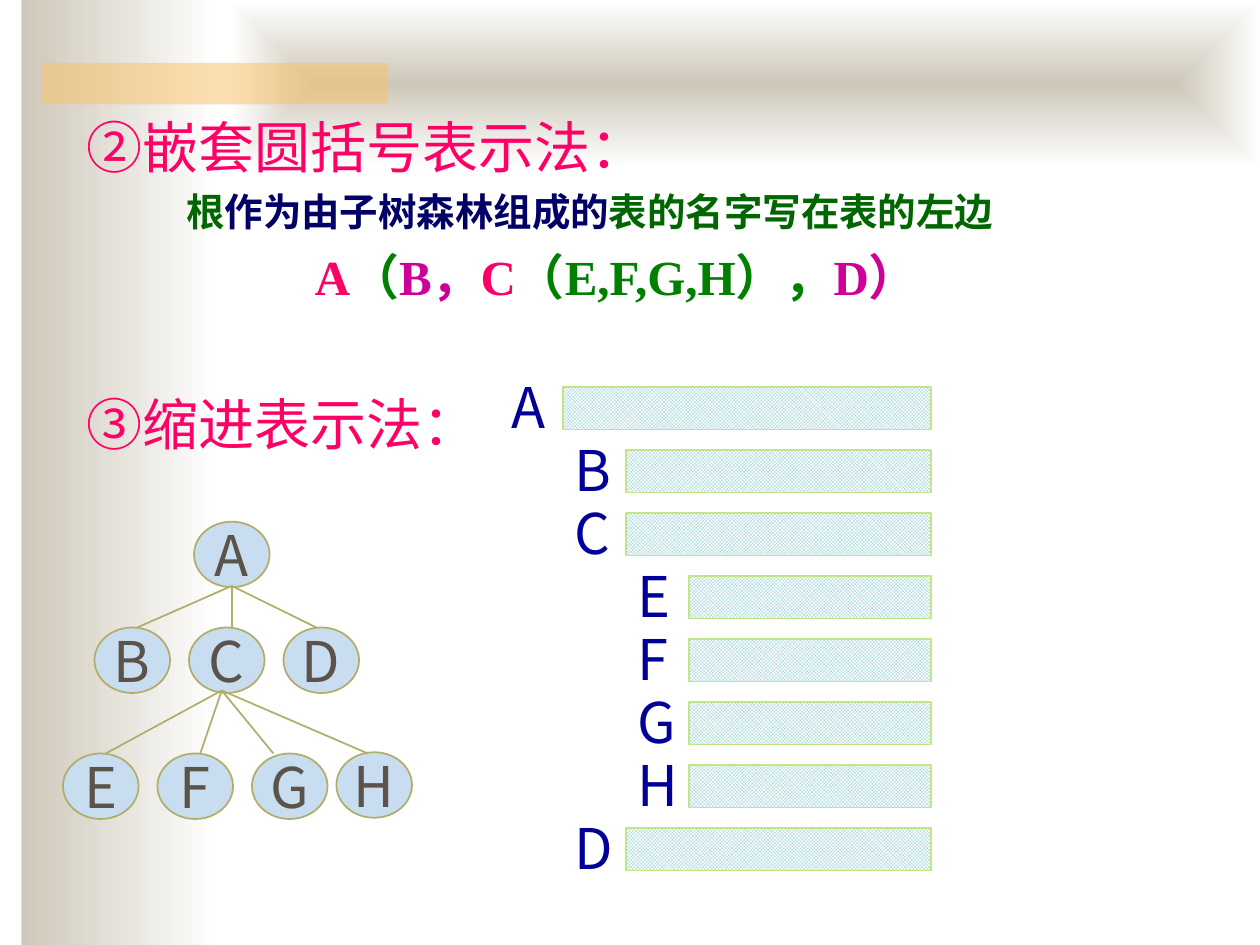
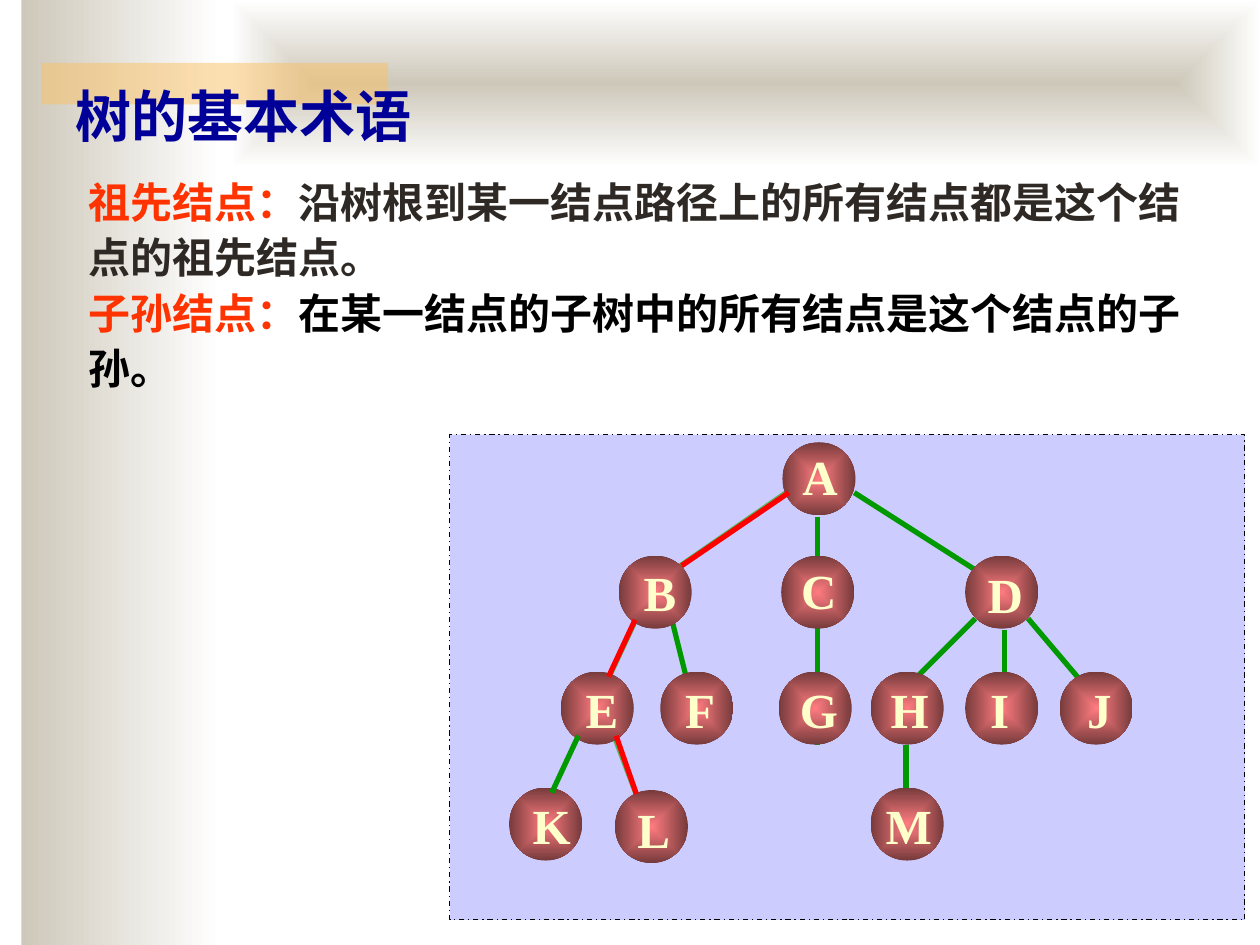
"""Build two slides on tree notations and basic tree terms."""
from dataclasses import dataclass

from lxml.etree import SubElement
from pptx import Presentation
from pptx.dml.color import RGBColor
from pptx.enum.dml import MSO_LINE, MSO_PATTERN
from pptx.enum.shapes import MSO_CONNECTOR, MSO_SHAPE as SHAPE
from pptx.enum.text import MSO_ANCHOR as ANCHOR, PP_ALIGN as ALIGN
from pptx.oxml.ns import qn
from pptx.util import Inches, Pt


@dataclass(frozen=True)
class Theme:
    sand: str = "CEC8BA"
    white: str = "FFFFFF"
    amber: str = "FAC164"
    pink: str = "FF0066"
    purple: str = "CC0099"
    green: str = "008000"
    dark_green: str = "006600"
    dark_navy: str = "000066"
    navy: str = "000099"
    node: str = "C9DDF1"
    olive: str = "B0AE6A"
    brown: str = "5B5249"
    teal: str = "82C7CC"
    lime: str = "C3E684"
    orange: str = "FF3300"
    ink: str = "2E2924"
    black: str = "000000"
    lavender: str = "CCCCFF"
    ball: str = "FF7C80"
    ball_edge: str = "763A3B"
    cream: str = "FFFFCC"
    edge: str = "009900"
    pale_edge: str = "55B75A"
    red: str = "FF0000"
    sans: str = "Noto Sans CJK SC"
    serif: str = "Times New Roman"
    lato: str = "Lato"
    big: int = 32
    label: int = 28
    body: int = 24
    note: int = 22


T = Theme()
rgb = RGBColor.from_string


def add_item(s, at, kind=None, fill=None, radial=False, line=None, paras=(), font=T.sans,
             size=T.big, bold=False, pad=(0.1, 0.05), wrap=True, anchor=ANCHOR.TOP,
             align=ALIGN.LEFT, spacing=None):
    """Add a text box, or a preset shape when kind is given, with coloured runs."""
    box = [Inches(v) for v in at]
    sp = s.shapes.add_textbox(*box) if kind is None else s.shapes.add_shape(kind, *box)
    if kind is not None:
        sp.shadow.inherit = False
        if isinstance(fill, tuple):
            sp.fill.gradient()
            for stop, color in zip(sp.fill.gradient_stops, fill):
                stop.color.rgb = rgb(color)
            sp.fill.gradient_angle = 0
            if radial:
                grad = sp._element.spPr.find(qn("a:gradFill"))
                grad.remove(grad.find(qn("a:lin")))
                path = SubElement(grad, qn("a:path"), path="shape")
                SubElement(path, qn("a:fillToRect"), l="50000", t="50000", r="50000", b="50000")
        elif fill:
            sp.fill.solid()
            sp.fill.fore_color.rgb = rgb(fill)
        if line:
            sp.line.color.rgb = rgb(line)
            sp.line.width = Pt(1)
        else:
            sp.line.fill.background()
    tf = sp.text_frame
    tf.word_wrap, tf.vertical_anchor = wrap, anchor
    tf.margin_left = tf.margin_right = Inches(pad[0])
    tf.margin_top = tf.margin_bottom = Inches(pad[1])
    for i, runs in enumerate(paras):
        p = tf.add_paragraph() if i else tf.paragraphs[0]
        p.alignment, p.line_spacing = align, spacing
        p.font.name, p.font.size, p.font.bold = font, Pt(size), bold
        SubElement(p._p.pPr.find(qn("a:defRPr")), qn("a:ea"), typeface=T.sans)
        for text, color in runs:
            r = p.add_run()
            r.text = text
            r.font.color.rgb = rgb(color)
    return sp


def add_edge(s, start, end, color, width):
    """Add a straight tree edge."""
    c = s.shapes.add_connector(MSO_CONNECTOR.STRAIGHT, *[Inches(v) for v in (*start, *end)])
    c.line.color.rgb = rgb(color)
    c.line.width = Pt(width)
    SubElement(c._element.spPr, qn("a:effectLst"))


prs = Presentation()
prs.slide_width, prs.slide_height = Inches(10), Inches(7.5)
blank = prs.slide_layouts[6]

s = prs.slides.add_slide(blank)
side = add_item(s, (0.17, 0, 1.58, 7.5), SHAPE.RECTANGLE, (T.sand, T.white))
top = add_item(s, (1.83, 0, 8.17, 1.33), SHAPE.RECTANGLE, (T.sand, T.white), radial=True)
accent = add_item(s, (0.33, 0.5, 2.75, 0.33), SHAPE.RECTANGLE, T.amber)
clr = accent._element.spPr.find(qn("a:solidFill")).find(qn("a:srgbClr"))
SubElement(clr, qn("a:alpha"), val="50000")
for band in (side, top, accent):
    blank.shapes._spTree.append(band._element)

add_item(s, (0.59, 0.84, 5.43, 0.64), paras=[[("②嵌套圆括号表示法：", T.pink)]], font=T.lato)

ovals = {
    "A": (1.54, 4.14), "B": (0.75, 4.98), "C": (1.5, 4.98), "D": (2.25, 4.98),
    "E": (0.5, 5.98), "F": (1.25, 5.98), "G": (2, 5.98), "H": (2.67, 5.97),
}
for name, (x, y) in ovals.items():
    add_item(s, (x, y, 0.6, 0.52), SHAPE.OVAL, T.node, line=T.olive, paras=[[(name, T.brown)]],
             pad=(0, 0), wrap=False, anchor=ANCHOR.MIDDLE, align=ALIGN.CENTER)
fans = [((1.84, 4.65), 4.98, (1.84, 1.09, 2.51)),
        ((1.76, 5.48), 5.98, (0.84, 1.59, 2.17, 2.92))]
for parent, child_y, child_xs in fans:
    for x in child_xs:
        add_edge(s, parent, (x, child_y), T.olive, 1)

add_item(s, (1.38, 1.44, 7.67, 0.47), size=T.note, bold=True, paras=[[
    ("根", T.dark_green), ("作为由子树森林组成的", T.dark_navy),
    ("表的名字写在表的左边", T.dark_green)]])
add_item(s, (2.4, 1.91, 5.58, 0.57), font=T.serif, size=T.label, bold=True, paras=[[
    ("A", T.pink), ("（", T.green), ("B，", T.purple), ("C", T.pink),
    ("（E,F,G,H），", T.green), ("D）", T.purple)]])
add_item(s, (0.59, 3.04, 3.42, 0.64), paras=[[("③缩进表示法：", T.pink)]], font=T.lato)

for row, (name, depth) in enumerate(zip("ABCEFGHD", (0, 1, 1, 2, 2, 2, 2, 1))):
    x, y = 4.47 + 0.5 * depth, 3.07 + 0.5 * row
    bar = add_item(s, (x, y, 7.39 - x, 0.34), SHAPE.RECTANGLE, line=T.lime)
    bar.fill.patterned()
    bar.fill.pattern = MSO_PATTERN.SMALL_CHECKER_BOARD
    bar.fill.fore_color.rgb = rgb(T.teal)
    bar.fill.back_color.rgb = rgb(T.white)
    add_item(s, (x - 0.41, y - 0.11, 0.42, 0.53), paras=[[(name, T.navy)]], pad=(0, 0))

s = prs.slides.add_slide(blank)
add_item(s, (0.7, 1.31, 8.83, 1.88), size=T.body, bold=True, pad=(0, 0.05), spacing=1.1, paras=[
    [("祖先结点：", T.orange),
     ("沿树根到某一结点路径上的所有结点都是这个结点的祖先结点。", T.ink)],
    [("子孙结点：", T.orange),
     ("在某一结点的子树中的所有结点是这个结点的子孙。", T.black)]])

panel = add_item(s, (3.57, 3.45, 6.31, 3.85), SHAPE.RECTANGLE, T.lavender, line=T.black)
panel.line.width = Pt(0.75)
panel.line.dash_style = MSO_LINE.DASH_DOT

edges = [
    ((8.16, 4.91), (8.66, 5.5), T.edge), ((7.74, 4.91), (7.24, 5.41), T.edge),
    ((7.97, 5), (7.97, 5.41), T.edge), ((7.19, 5.91), (7.19, 6.41), T.edge),
    ((6.78, 3.91), (7.83, 4.58), T.edge), ((6.24, 3.91), (5.4, 4.49), T.pale_edge),
    ((6.49, 4.1), (6.49, 5.91), T.edge), ((5.33, 4.91), (5.48, 5.51), T.edge),
    ((4.87, 5.83), (5.06, 6.33), T.pale_edge), ((5.05, 4.91), (4.84, 5.36), T.pale_edge),
]
for start, end, color in edges:
    add_edge(s, start, end, color, 3)

balls = [
    ("A", 6.21, 3.51, 6.27, 3.49, 0.48), ("B", 4.91, 4.41, 5.01, 4.41, 0.46),
    ("C", 6.2, 4.41, 6.26, 4.4, 0.48), ("D", 7.66, 4.41, 7.74, 4.43, 0.48),
    ("E", 4.45, 5.33, 4.55, 5.34, 0.46), ("F", 5.24, 5.33, 5.34, 5.34, 0.44),
    ("G", 6.18, 5.33, 6.25, 5.34, 0.5), ("H", 6.91, 5.33, 6.97, 5.34, 0.5),
    ("I", 7.66, 5.33, 7.76, 5.34, 0.35), ("J", 8.41, 5.33, 8.53, 5.34, 0.4),
    ("K", 4.04, 6.25, 4.13, 6.26, 0.5), ("L", 4.88, 6.27, 4.96, 6.29, 0.46),
    ("M", 6.91, 6.25, 6.93, 6.26, 0.57),
]
for name, x, y, label_x, label_y, label_w in balls:
    add_item(s, (x, y, 0.58, 0.58), SHAPE.OVAL, (T.ball, T.ball_edge), radial=True)
    add_item(s, (label_x, label_y, label_w, 0.57), paras=[[(name, T.cream)]], font=T.serif,
             size=T.label, bold=True, wrap=False, anchor=ANCHOR.MIDDLE)

add_edge(s, (4.59, 5.84), (4.38, 6.29), T.edge, 3)
ancestor_path = [((6.26, 3.91), (5.41, 4.49)), ((5.04, 4.92), (4.83, 5.37)),
                 ((4.89, 5.84), (5.05, 6.3))]
for start, end in ancestor_path:
    add_edge(s, start, end, T.red, 3)

add_item(s, (0.5, 0.6, 4.33, 0.63), paras=[[("树的基本术语", T.navy)]], font=T.serif, bold=True)

prs.save("out.pptx")
